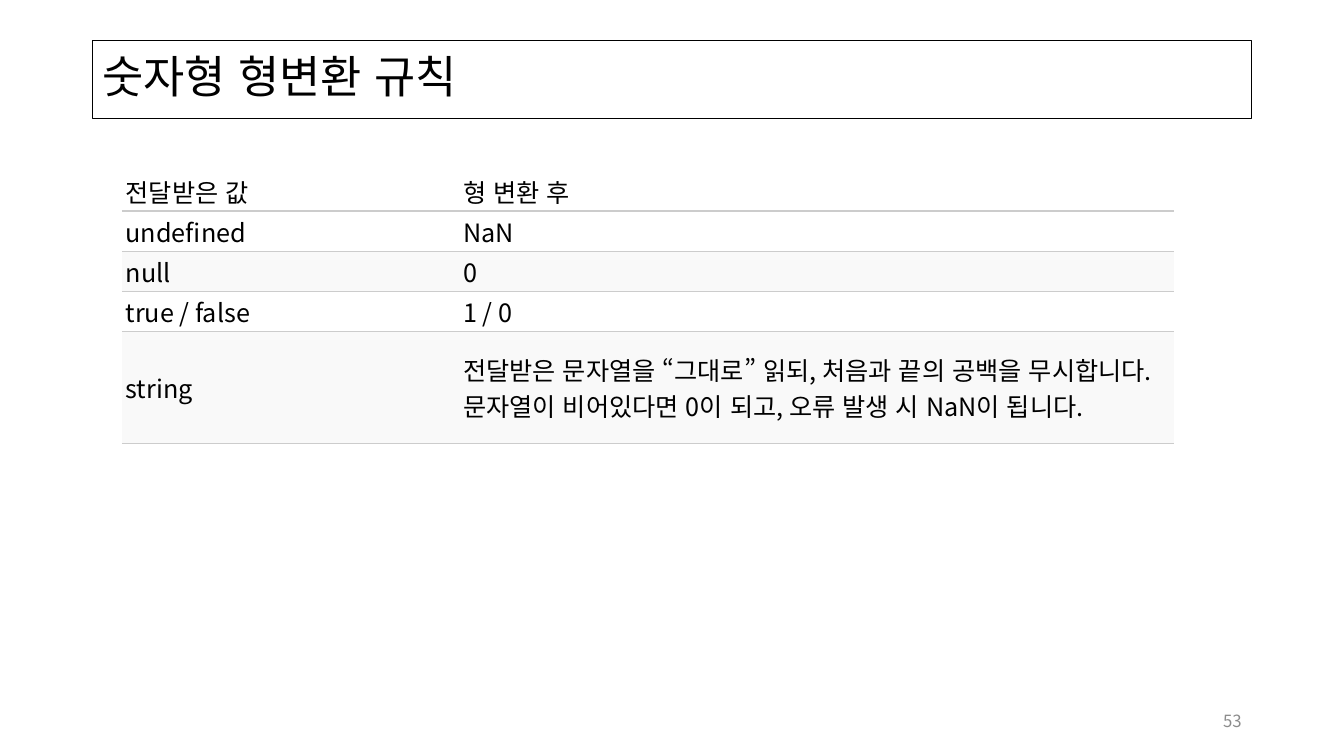
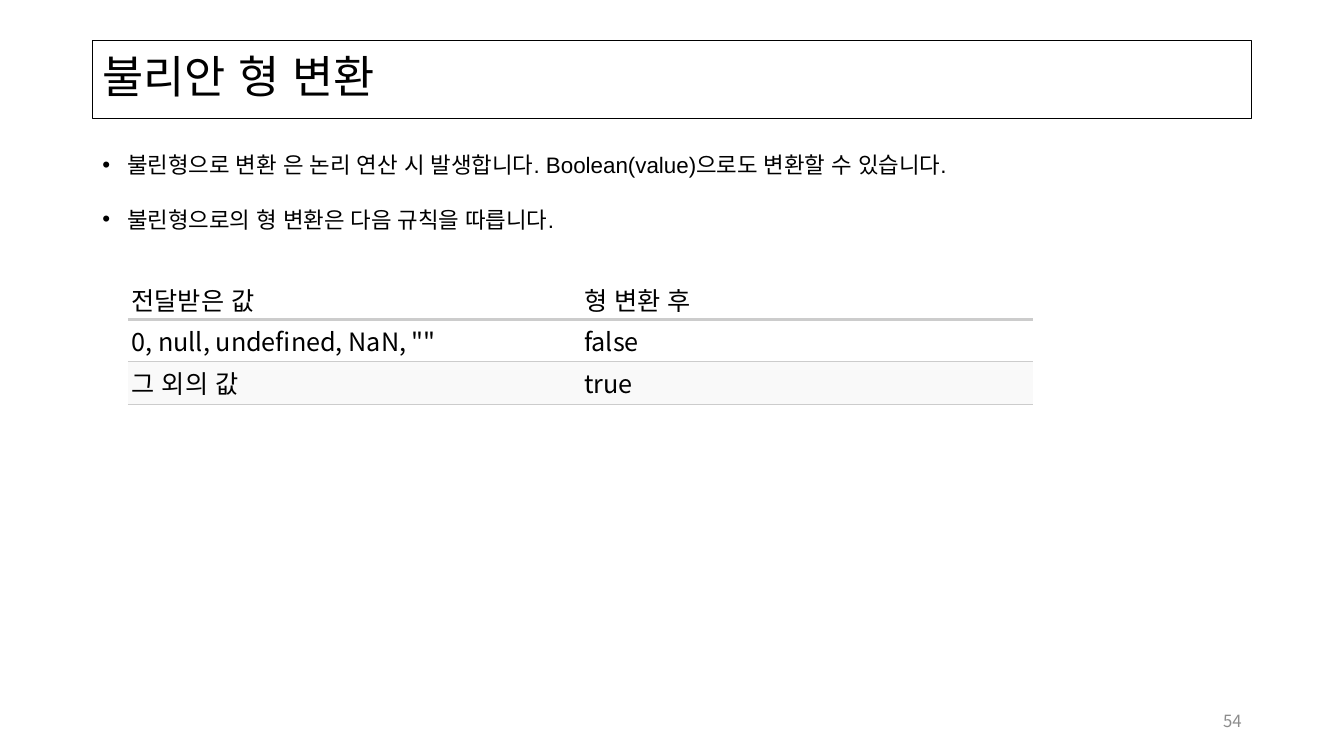
import collections

import lxml.etree
import pptx
import pptx.dml.color
import pptx.enum.lang
import pptx.enum.shapes
import pptx.enum.text
import pptx.oxml.ns
import pptx.util

Pt = pptx.util.Pt
Align = pptx.enum.text.PP_ALIGN
Anchor = pptx.enum.text.MSO_ANCHOR
Box = collections.namedtuple("Box", "left top width height")

KOREAN, LATIN = "Noto Sans CJK KR", "Arial"
INK, RULE, WHITE, BAND, MUTED = "000000", "CCCCCC", "FFFFFF", "F9F9F9", "8C8C8C"
PLAIN_TABLE = "{2D5ABB26-0587-4C30-8999-92F81FD0307C}"
SLIDE_SIZE = Box(0, 0, 960, 540)
TITLE = Box(66, 28.8, 828, 55.8)
BODY = Box(66, 95, 828, 392)
FOOTER = Box(678, 500.4, 216, 28.8)

CELL_FORMAT = {
    "margin_left": Pt(2.7),
    "margin_top": Pt(1.44),
    "margin_right": Pt(7.2),
    "margin_bottom": Pt(1.44),
}
BULLET_FORMAT = {"marL": str(Pt(18)), "indent": str(Pt(-18))}


def color(hex_value):
    """Turn a hex string into a colour."""
    return pptx.dml.color.RGBColor.from_string(hex_value)


def apply(target, values):
    """Set every attribute named in a dict of format values."""
    for name, value in values.items():
        setattr(target, name, value)


def points(box):
    """Return the four lengths of a box in points."""
    return [Pt(length) for length in box]


def add_child(parent, tag, **attributes):
    """Append a drawing element to a parent element."""
    return lxml.etree.SubElement(parent, pptx.oxml.ns.qn(tag), attributes)


def write(paragraph, text, size, face=KOREAN, ink=INK, **layout):
    """Write one run of Korean text into a paragraph and format both."""
    apply(paragraph, layout)
    run = paragraph.add_run()
    run.text = text
    apply(run.font, {
        "size": Pt(size),
        "name": face,
        "language_id": pptx.enum.lang.MSO_LANGUAGE_ID.KOREAN,
    })
    run.font.color.rgb = color(ink)
    run.font._element.set("altLang", "en-US")
    add_child(run.font._element, "a:ea", typeface=face)


def add_title(slide, box, text):
    """Draw the outlined title band."""
    band = slide.shapes.add_shape(
        pptx.enum.shapes.MSO_SHAPE.RECTANGLE, *points(box))
    band.shadow.inherit = False
    band.fill.background()
    band.line.color.rgb = color(INK)
    band.line.width = Pt(0.75)
    apply(band.text_frame, {"word_wrap": True, "vertical_anchor": Anchor.MIDDLE})
    write(band.text_frame.paragraphs[0], text, 32,
          alignment=Align.LEFT, line_spacing=0.9)


def add_page_number(slide, box, number):
    """Write the page number at the right of the footer."""
    frame = slide.shapes.add_textbox(*points(box)).text_frame
    apply(frame, {"word_wrap": True, "vertical_anchor": Anchor.MIDDLE})
    write(frame.paragraphs[0], str(number), 12, ink=MUTED, alignment=Align.RIGHT)


def add_bullets(slide, box, lines):
    """Write a bulleted list."""
    frame = slide.shapes.add_textbox(*points(box)).text_frame
    frame.word_wrap = True
    for index, line in enumerate(lines):
        paragraph = frame.add_paragraph() if index else frame.paragraphs[0]
        properties = paragraph._p.get_or_add_pPr()
        for name, value in BULLET_FORMAT.items():
            properties.set(name, value)
        add_child(properties, "a:buFont", typeface=LATIN)
        add_child(properties, "a:buChar", char="•")
        write(paragraph, line, 16, face=LATIN, line_spacing=1.5,
              space_before=Pt(10 if index else 0))


def add_border(cell, tag, width):
    """Rule one side of a cell."""
    properties = cell._tc.get_or_add_tcPr()
    border = add_child(properties, tag, w=str(Pt(width)))
    add_child(add_child(border, "a:solidFill"), "a:srgbClr", val=RULE)


def add_rules_table(slide, box, column_widths, row_heights, rows):
    """Draw a conversion table with a ruled header and banded rows."""
    table = slide.shapes.add_table(
        len(rows), len(column_widths), *points(box)).table
    apply(table, {"first_row": False, "horz_banding": False})
    table._tbl.tblPr.find(pptx.oxml.ns.qn("a:tableStyleId")).text = PLAIN_TABLE
    for column, width in zip(table.columns, column_widths):
        column.width = Pt(width)
    for r, (values, height) in enumerate(zip(rows, row_heights)):
        table.rows[r].height = Pt(height)
        for c, value in enumerate(values):
            cell = table.cell(r, c)
            apply(cell, CELL_FORMAT)
            cell.vertical_anchor = Anchor.MIDDLE if r else Anchor.BOTTOM
            if r:
                add_border(cell, "a:lnT", 1.8 if r == 1 else 0.6)
            add_border(cell, "a:lnB", 0.6 if r else 1.8)
            cell.fill.solid()
            cell.fill.fore_color.rgb = color(BAND if r and r % 2 == 0 else WHITE)
            write(cell.text_frame.paragraphs[0], value, 18)


def add_page(deck, title, number):
    """Add a slide with the title band and page number."""
    slide = deck.slides.add_slide(deck.slide_layouts[6])
    add_title(slide, TITLE, title)
    add_page_number(slide, FOOTER, number)
    return slide


def build_number_slide(deck):
    """Build the slide on numeric conversion."""
    slide = add_page(deck, "숫자형 형변환 규칙", 53)
    add_rules_table(
        slide, Box(87.12, 122.4, 751.4, 194.6), [241, 510.4], [28.5] * 4 + [80.6],
        [("전달받은 값", "형 변환 후"),
         ("undefined", "NaN"),
         ("null", "0"),
         ("true / false", "1 / 0"),
         ("string", "전달받은 문자열을 “그대로” 읽되, 처음과 끝의 공백을 무시합니다. "
                    "문자열이 비어있다면 0이 되고, 오류 발생 시 NaN이 됩니다.")])


def build_boolean_slide(deck):
    """Build the slide on boolean conversion."""
    slide = add_page(deck, "불리안 형 변환", 54)
    add_bullets(slide, BODY, [
        "불린형으로 변환 은 논리 연산 시 발생합니다. Boolean(value)으로도 변환할 수 있습니다.",
        "불린형으로의 형 변환은 다음 규칙을 따릅니다."])
    add_rules_table(
        slide, Box(91.3, 198, 646.6, 90.6), [323.3] * 2, [30.2] * 3,
        [("전달받은 값", "형 변환 후"),
         ('0, null, undefined, NaN, ""', "false"),
         ("그 외의 값", "true")])


def main():
    """Build and save the deck."""
    deck = pptx.Presentation()
    deck.slide_width, deck.slide_height = points(SLIDE_SIZE)[2:]
    build_number_slide(deck)
    build_boolean_slide(deck)
    deck.save("out.pptx")


if __name__ == "__main__":
    main()
